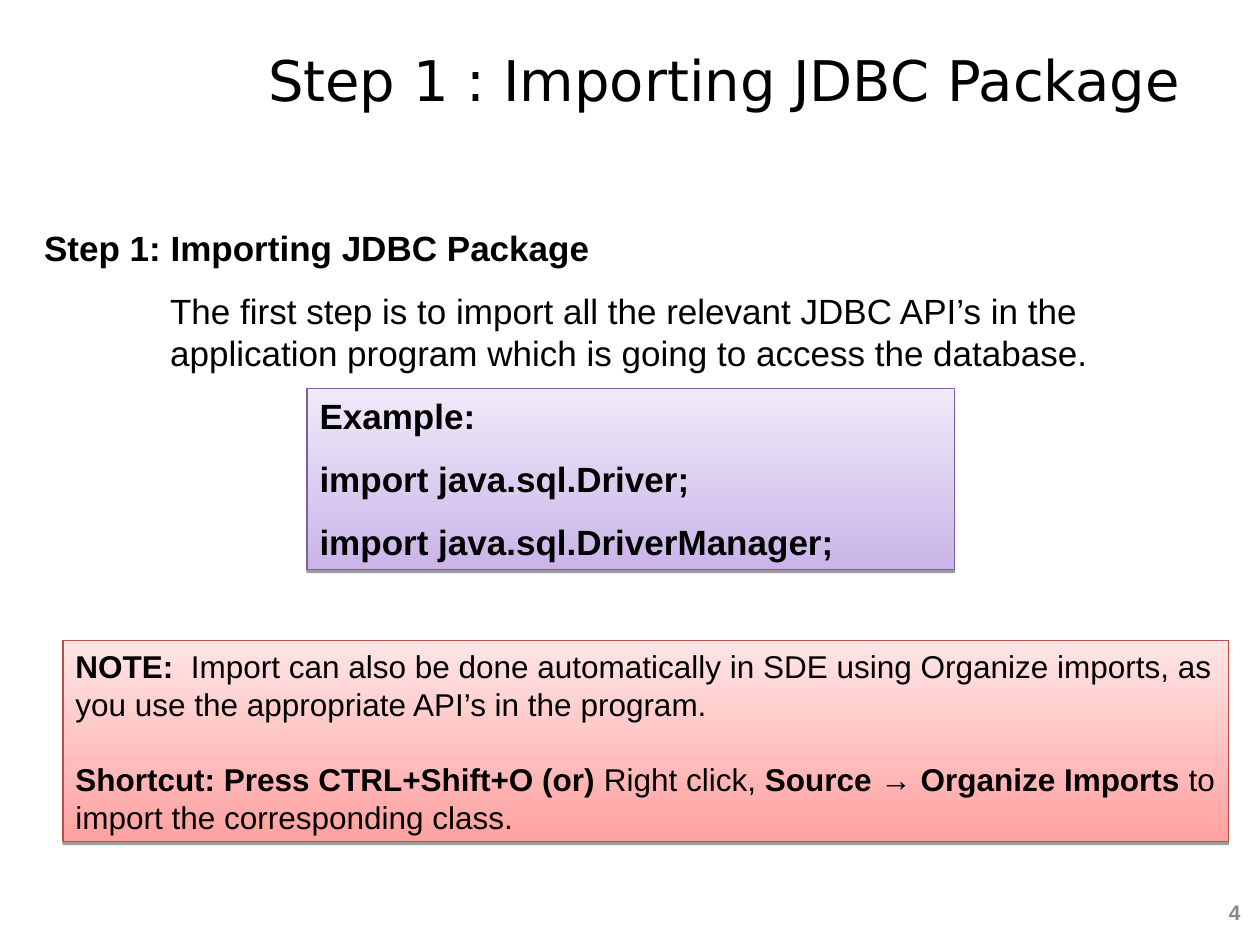
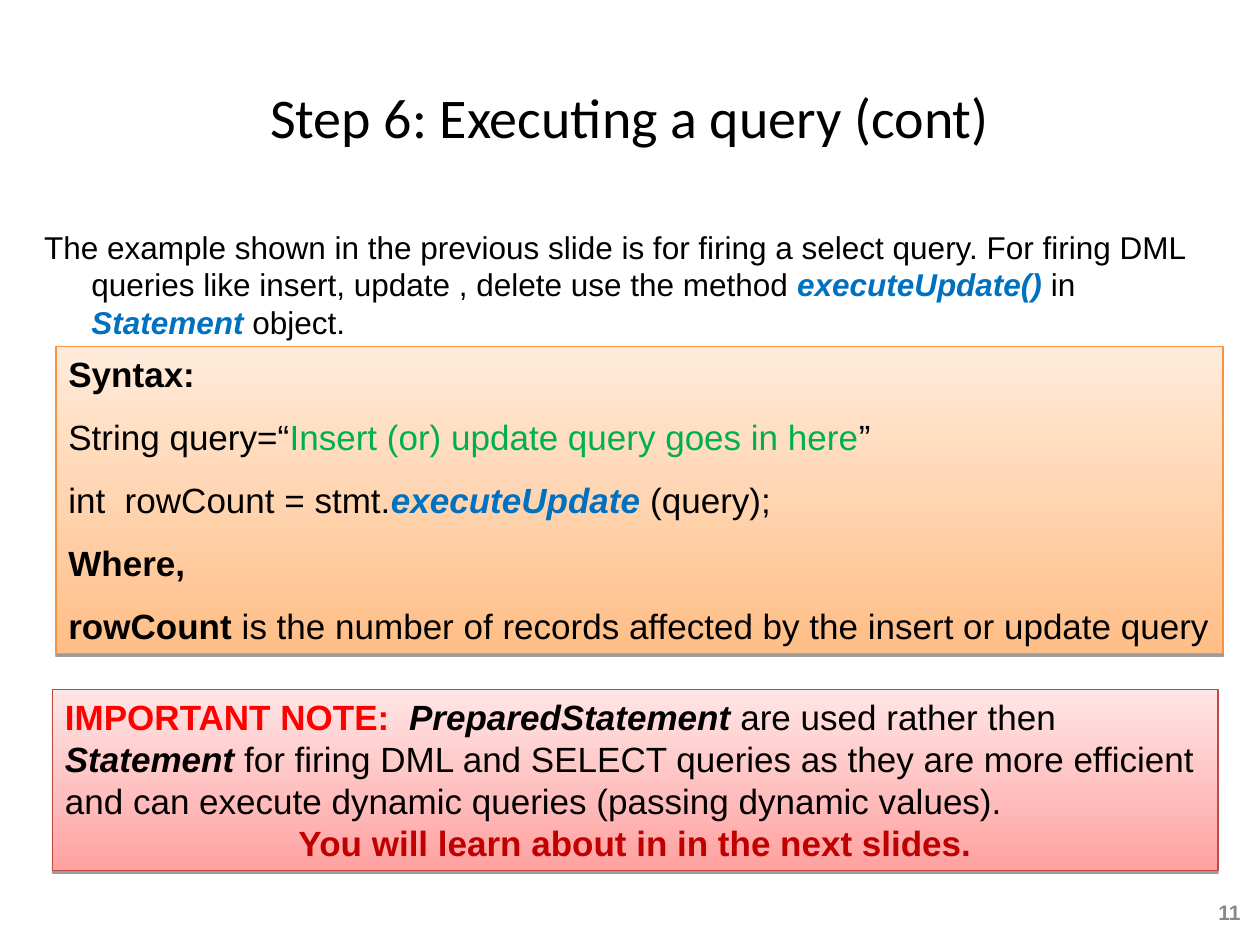
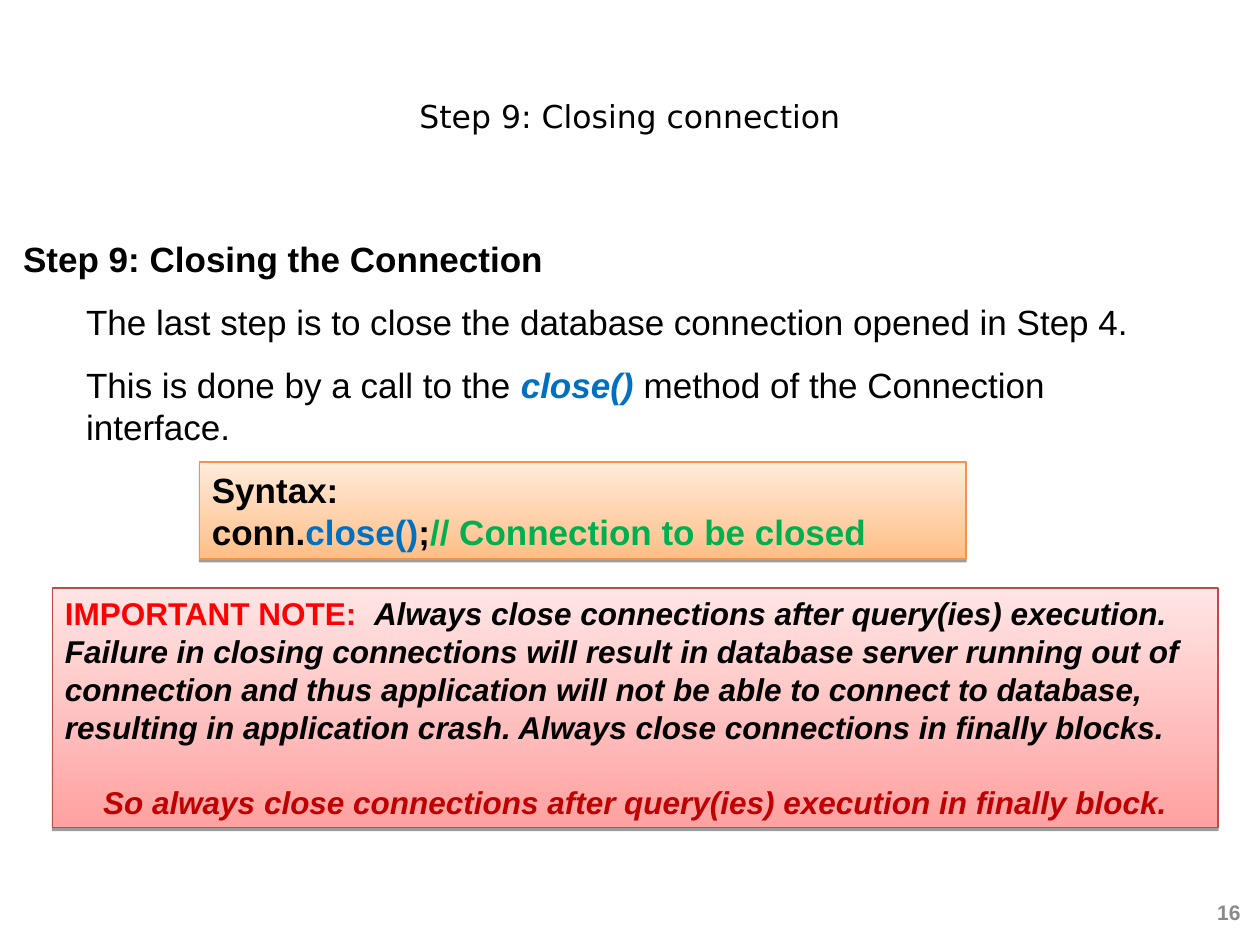
from lxml.etree import SubElement
from pptx import Presentation
from pptx.dml.color import RGBColor
from pptx.enum.shapes import MSO_SHAPE
from pptx.enum.text import MSO_ANCHOR as Anchor, MSO_AUTO_SIZE as AutoSize, PP_ALIGN as Align
from pptx.oxml.ns import qn
from pptx.util import Pt

COLORS = {
    "black": "000000", "grey": "898989", "blue": "0070C0",
    "green": "00B050", "red": "FF0000", "dark red": "C00000",
}
# Box colours: bottom, top, outline
BOXES = {
    "example": ("C9B5E8", "F0EAF9", "7D60A0"),
    "syntax": ("FFBE86", "FFEBDB", "F69240"),
    "note": ("FFA2A1", "FFE5E5", "BE4B48"),
}
LINE_HEIGHT = 1.2
GAP = {"space_before": Pt(12)}
CENTER = {"alignment": Align.CENTER}
BLANK_LINE = {"space_before": Pt(18 * LINE_HEIGHT)}


def write(frame, paragraphs, size, font="Arial", anchor=Anchor.TOP, wrap=True, grow=False):
    """Fill a frame; a paragraph is (format, left, indent, level, runs), a run (text, look)."""
    frame.word_wrap = wrap
    frame.auto_size = AutoSize.SHAPE_TO_FIT_TEXT if grow else AutoSize.NONE
    frame.vertical_anchor = anchor
    for number, (layout, left, indent, level, runs) in enumerate(paragraphs):
        para = frame.add_paragraph() if number else frame.paragraphs[0]
        props = para._p.get_or_add_pPr()
        props.set("marL", str(Pt(left)))
        props.set("indent", str(Pt(indent)))
        SubElement(props, qn("a:buNone"))
        base = {"level": level, "alignment": Align.LEFT, "space_before": Pt(0),
                "line_spacing": Pt(size * LINE_HEIGHT)}
        for name, value in {**base, **layout}.items():
            setattr(para, name, value)
        for text, look in runs:
            run = para.add_run()
            run.text = text
            weight, _, color = look.partition(" ")
            looks = {"name": font, "size": Pt(size), "bold": "b" in weight, "italic": "i" in weight}
            for name, value in looks.items():
                setattr(run.font, name, value)
            run.font.color.rgb = RGBColor.from_string(COLORS[color or "black"])


def line(*runs, layout={}, left=0, indent=0, level=0):
    return layout, left, indent, level, runs


# Looks: "-" plain, "b" bold, "bi" bold italic, then a colour other than black
SLIDES = [
    {
        "title": ("Step 1 : Importing JDBC Package", "DejaVu Sans", 32, (108, 0, 612, 90)),
        "number": "4",
        "body": (20, (18, 126, 696, 91.5), [
            line(("Step 1: Importing JDBC Package", "b")),
            line(("The first step is to import all the relevant JDBC API’s in the application "
                  "program which is going to access the database.", "-"),
                 layout=GAP, left=72, level=2),
        ]),
        "boxes": [
            ("example", 20, True, (175.5, 222, 370, 103.5), [
                line(("Example:", "b")),
                line(("import java.sql.Driver;", "b"), layout=GAP),
                line(("import java.sql.DriverManager;", "b"), layout=GAP),
            ]),
            ("note", 18, True, (36, 366, 666, 115), [
                line(("NOTE:  ", "b"),
                     ("Import can also be done automatically in SDE using Organize imports, "
                      "as you use the appropriate API’s in the program.", "-")),
                line(("Shortcut: Press CTRL+Shift+O (or) ", "b"), ("Right click, ", "-"),
                     ("Source → Organize Imports ", "b"),
                     ("to import the corresponding class.", "-"), layout=BLANK_LINE),
            ]),
        ],
    },
    {
        "title": ("Step 6: Executing a query (cont)", "Calibri", 32, (36, 21.5, 648, 90)),
        "number": "11",
        "body": (18, (18, 126.5, 684, 143.5), [
            line(("The example shown in the previous slide is for firing a select query. For "
                  "firing DML queries like insert, update , delete use the method ", "-"),
                 ("executeUpdate() ", "bi blue"), ("in ", "-"),
                 ("Statement", "bi blue"), (" object.", "-"), left=27, indent=-27),
        ]),
        "boxes": [
            ("syntax", 20, False, (32, 198, 667, 175.5), [
                line(("Syntax:", "b")),
                line(("String query=“", "-"), ("Insert (or) update query goes in here", "- green"),
                     ("”", "-"), layout=GAP),
                line(("int  rowCount = stmt.", "-"), ("executeUpdate ", "bi blue"),
                     ("(query);", "-"), layout=GAP),
                line(("Where,", "b"), layout=GAP),
                line(("rowCount ", "b"),
                     ("is the number of records affected by the insert or update query", "-"),
                     layout=GAP),
            ]),
            ("note", 20, True, (30, 394, 666, 103.5), [
                line(("IMPORTANT NOTE:  ", "b red"), ("PreparedStatement", "bi"),
                     (" are used rather then ", "-"), ("Statement", "bi"),
                     (" for firing DML and SELECT queries as they are more efficient and can "
                      "execute dynamic queries (passing dynamic values).", "-")),
                line(("You will learn about in in the next slides.", "b dark red"), layout=CENTER),
            ]),
        ],
    },
    {
        "title": ("Step 9: Closing connection", "DejaVu Sans", 18, (36, 21.5, 648, 90)),
        "number": "16",
        "body": (20, (6, 132, 678, 127.5), [
            line(("Step 9: Closing the Connection", "b")),
            line(("The last step is to close the database connection opened in Step 4.", "-"),
                 layout=GAP, left=36, level=1),
            line(("This is done by a call to the ", "-"), ("close() ", "bi blue"),
                 ("method of the Connection interface.", "-"), layout=GAP, left=36, level=1),
        ]),
        "boxes": [
            ("syntax", 20, True, (114, 264, 438, 55.5), [
                line(("Syntax:", "b")),
                line(("conn.", "b"), ("close()", "b blue"), (";", "b"),
                     ("// Connection to be closed", "b green")),
            ]),
            ("note", 18, True, (30, 336, 666, 137), [
                line(("IMPORTANT NOTE:  ", "b red"),
                     ("Always close connections after query(ies) execution. Failure in closing "
                      "connections will result in database server running out of connection and "
                      "thus application will not be able to connect to database, resulting in "
                      "application crash. Always close connections in finally blocks.", "bi")),
                line(("So always close connections after query(ies) execution in finally block.",
                      "bi dark red"), layout={**CENTER, **BLANK_LINE}),
            ]),
        ],
    },
]

deck = Presentation()
deck.slide_width, deck.slide_height = Pt(720), Pt(540)

for content in SLIDES:
    slide = deck.slides.add_slide(deck.slide_layouts[1])
    heading, body = slide.placeholders

    # Title
    text, font, size, place = content["title"]
    heading.left, heading.top, heading.width, heading.height = map(Pt, place)
    write(heading.text_frame, [line((text, "-"), layout={**CENTER, "line_spacing": 1.0})],
          size, font, Anchor.MIDDLE)

    # Explanation
    size, place, paragraphs = content["body"]
    body.left, body.top, body.width, body.height = map(Pt, place)
    write(body.text_frame, paragraphs, size)

    # Slide number
    number = slide.shapes.add_textbox(*map(Pt, (681, 508.5, 35, 25)))
    write(number.text_frame, [line((content["number"], "b grey"), layout={"alignment": Align.RIGHT})],
          12, anchor=Anchor.MIDDLE)

    # Code and note boxes
    for kind, size, wrap, place, paragraphs in content["boxes"]:
        box = slide.shapes.add_shape(MSO_SHAPE.RECTANGLE, *map(Pt, place))
        bottom, top, outline = map(RGBColor.from_string, BOXES[kind])
        box.fill.gradient()
        box.fill.gradient_angle = 90
        for stop, position, color in zip(box.fill.gradient_stops, (0, 1), (bottom, top)):
            stop.position = position
            stop.color.rgb = color
        box.line.color.rgb = outline
        box.line.width = Pt(0.75)
        box.shadow.inherit = False
        effects = box._element.spPr.find(qn("a:effectLst"))
        shadow = SubElement(effects, qn("a:outerShdw"), dist=str(Pt(1.6)), dir="5400000", rotWithShape="0")
        black = SubElement(shadow, qn("a:srgbClr"), val=COLORS["black"])
        SubElement(black, qn("a:alpha"), val="38000")
        write(box.text_frame, paragraphs, size, wrap=wrap, grow=True)

deck.save("out.pptx")
